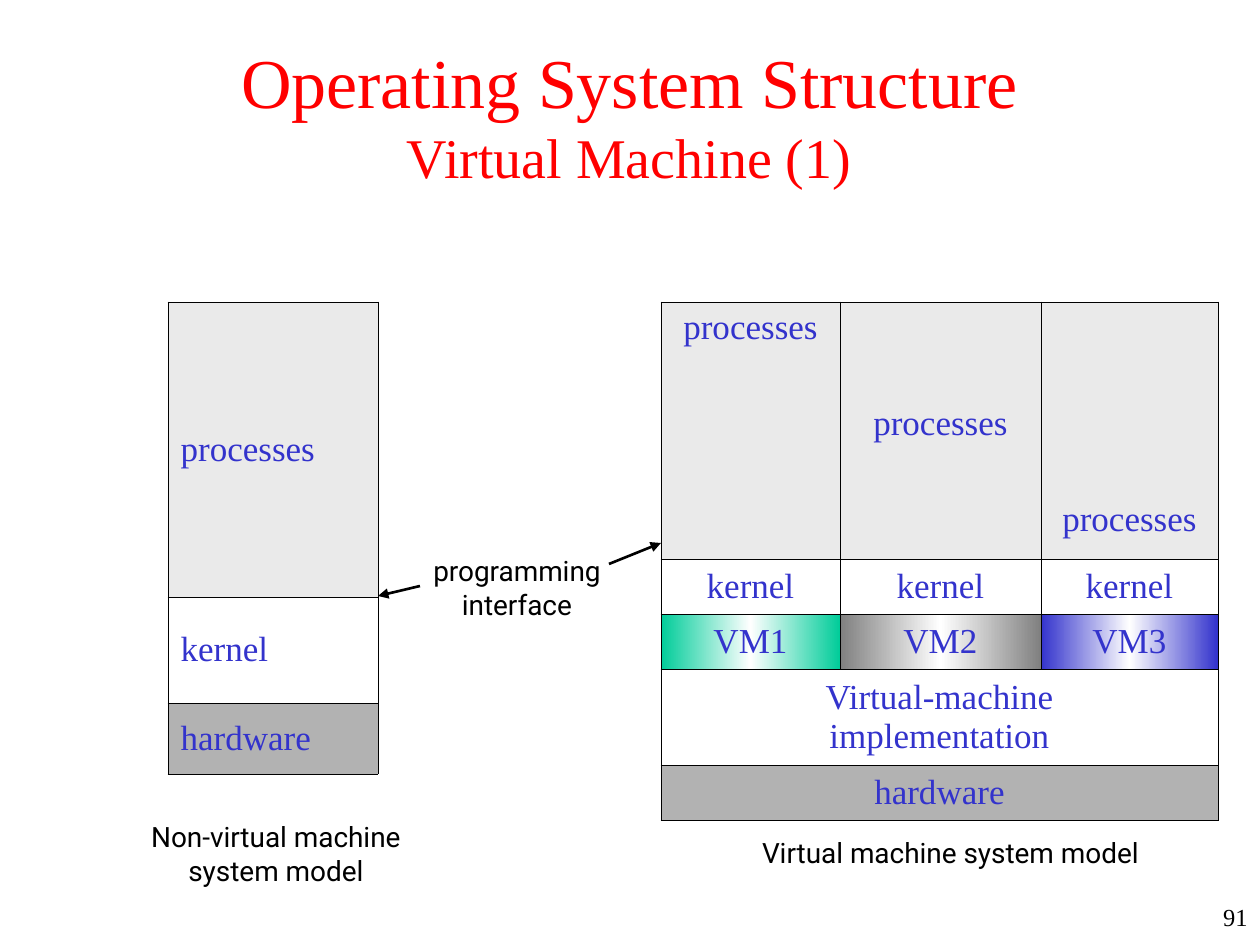
import lxml.etree
import pptx
import pptx.dml.color
import pptx.enum.shapes
import pptx.enum.text
import pptx.oxml
import pptx.oxml.ns
import pptx.util

EMU_PER_PX = 914400 / 126
SERIF = "Times New Roman"
SANS = "Roboto"
COLORS = {
    "title": "FF0000",
    "text": "000000",
    "cell_text": "3333CC",
    "border": "000000",
    "process": "EAEAEA",
    "hardware": "B2B2B2",
    "vm1": "00CC99",
    "vm2": "808080",
    "vm3": "3333CC",
    "middle": "FFFFFF",
}
ALIGN = pptx.enum.text.PP_ALIGN
ANCHOR = pptx.enum.text.MSO_ANCHOR
TABLE_TOP = 302
CELL_MARGIN = 6
PROCESS_STEP = 96


def px(length):
    return pptx.util.Emu(round(length * EMU_PER_PX))


def rgb(name):
    return pptx.dml.color.RGBColor.from_string(COLORS[name])


def format_paragraph(paragraph, size, font, color, align):
    paragraph.alignment = align
    paragraph.font.size = pptx.util.Pt(size)
    paragraph.font.name = font
    paragraph.font.color.rgb = rgb(color)


def set_title(slide, lines):
    title = slide.shapes.title
    title.left, title.top, title.width, title.height = map(px, (94, 35, 1071, 158))
    frame = title.text_frame
    frame.auto_size = pptx.enum.text.MSO_AUTO_SIZE.NONE
    frame.vertical_anchor = ANCHOR.MIDDLE
    paragraph = frame.paragraphs[0]
    format_paragraph(paragraph, 40, SERIF, "title", ALIGN.CENTER)
    for index, (text, size) in enumerate(lines):
        if index:
            paragraph.add_line_break()
        run = paragraph.add_run()
        run.text = text
        run.font.size = pptx.util.Pt(size)


def add_text(slide, text, box, size=16, font=SANS, align=ALIGN.CENTER,
             anchor=ANCHOR.MIDDLE, wrap=False, margins=True):
    shape = slide.shapes.add_textbox(*map(px, box))
    frame = shape.text_frame
    frame.word_wrap = wrap
    frame.vertical_anchor = anchor
    if not margins:
        frame.margin_left = frame.margin_right = 0
        frame.margin_top = frame.margin_bottom = 0
    frame.text = text
    for paragraph in frame.paragraphs:
        format_paragraph(paragraph, size, font, "text", align)


def set_borders(cell):
    properties = cell._tc.get_or_add_tcPr()
    namespace = pptx.oxml.ns.nsdecls("a")
    for side in ("lnL", "lnR", "lnT", "lnB"):
        properties.append(pptx.oxml.parse_xml(
            f'<a:{side} {namespace} w="{pptx.util.Pt(0.45)}"><a:solidFill>'
            f'<a:srgbClr val="{COLORS["border"]}"/></a:solidFill></a:{side}>'))


def set_gradient(cell, color):
    stops = "".join(
        f'<a:gs pos="{position}"><a:srgbClr val="{COLORS[name]}"/></a:gs>'
        for position, name in ((0, color), (50000, "middle"), (100000, color)))
    cell._tc.get_or_add_tcPr().append(pptx.oxml.parse_xml(
        f'<a:gradFill {pptx.oxml.ns.nsdecls("a")} rotWithShape="1">'
        f'<a:gsLst>{stops}</a:gsLst><a:lin ang="0" scaled="1"/></a:gradFill>'))


def fill_cell(cell, fill):
    if fill is None:
        cell.fill.background()
    elif fill.startswith("vm"):
        set_gradient(cell, fill)
    else:
        cell.fill.solid()
        cell.fill.fore_color.rgb = rgb(fill)


def add_layer_table(slide, left, widths, layers, align):
    """Each layer is (height, cell texts, cell fills); one text spans the row."""
    heights = [layer[0] for layer in layers]
    frame = slide.shapes.add_table(
        len(layers), len(widths), px(left), px(TABLE_TOP),
        px(sum(widths)), px(sum(heights)))
    table = frame.table
    table.first_row = table.horz_banding = False
    for column, width in zip(table.columns, widths):
        column.width = px(width)
    for row_index, (height, texts, fills) in enumerate(layers):
        table.rows[row_index].height = px(height)
        if len(texts) < len(widths):
            table.cell(row_index, 0).merge(table.cell(row_index, len(widths) - 1))
        for column_index in range(len(widths)):
            cell = table.cell(row_index, column_index)
            set_borders(cell)
            fill_cell(cell, fills[min(column_index, len(fills) - 1)])
            if column_index < len(texts):
                cell.vertical_anchor = ANCHOR.MIDDLE
                paragraph = cell.text_frame.paragraphs[0]
                paragraph.text = texts[column_index]
                format_paragraph(paragraph, 20, SERIF, "cell_text", align)
    return table


def add_arrow(slide, start, end):
    connector = slide.shapes.add_connector(
        pptx.enum.shapes.MSO_CONNECTOR.STRAIGHT, *map(px, start + end))
    connector.line.width = pptx.util.Pt(1.5)
    connector.line.color.rgb = rgb("text")
    line = connector.line._get_or_add_ln()
    head = lxml.etree.SubElement(line, pptx.oxml.ns.qn("a:tailEnd"))
    head.set("type", "triangle")
    lxml.etree.SubElement(connector._element.spPr, pptx.oxml.ns.qn("a:effectLst"))


def main():
    presentation = pptx.Presentation()
    presentation.slide_width, presentation.slide_height = px(1260), px(945)
    slide = presentation.slides.add_slide(presentation.slide_layouts[5])

    # Title and page number
    set_title(slide, [("Operating System Structure", 40), ("Virtual Machine (1)", 32)])
    add_text(slide, "91", (1205, 896, 55, 49), 14, SERIF, ALIGN.RIGHT,
             ANCHOR.TOP, wrap=True)

    # Captions under the two models
    add_text(slide, "Non-virtual machine\vsystem model", (130, 813, 292, 81))
    add_text(slide, "Virtual machine system model", (740, 829, 421, 47))

    # Non-virtual machine model
    add_layer_table(slide, 168, [210], [
        (295, ["processes"], ["process"]),
        (106, ["kernel"], [None]),
        (71, ["hardware"], ["hardware"]),
    ], ALIGN.LEFT)

    # Virtual machine model, its processes stepping down from left to right
    virtual = add_layer_table(slide, 661, [179, 201, 177], [
        (257, ["processes"] * 3, ["process"]),
        (55, ["kernel"] * 3, [None]),
        (55, ["VM1", "VM2", "VM3"], ["vm1", "vm2", "vm3"]),
        (96, ["Virtual-machine\vimplementation"], [None]),
        (55, ["hardware"], ["hardware"]),
    ], ALIGN.CENTER)
    for index in range(3):
        cell = virtual.cell(0, index)
        cell.vertical_anchor = ANCHOR.TOP
        cell.margin_top = px(CELL_MARGIN + index * PROCESS_STEP)

    # Programming interface label, pointing at both models
    add_text(slide, "programming\ninterface", (425, 554, 184, 67),
             anchor=ANCHOR.TOP, margins=False)
    add_arrow(slide, (609, 564), (661, 543))
    add_arrow(slide, (420, 586), (378, 596))

    presentation.save("out.pptx")


if __name__ == "__main__":
    main()
